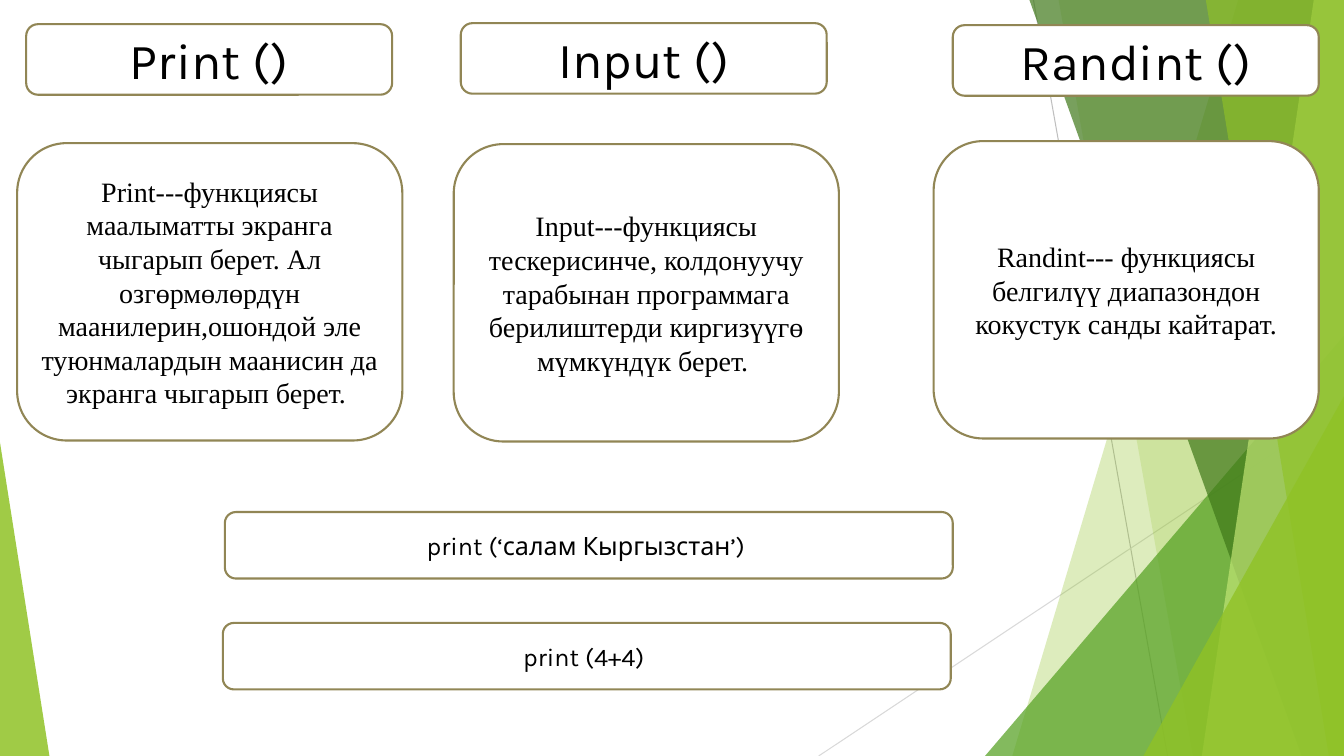
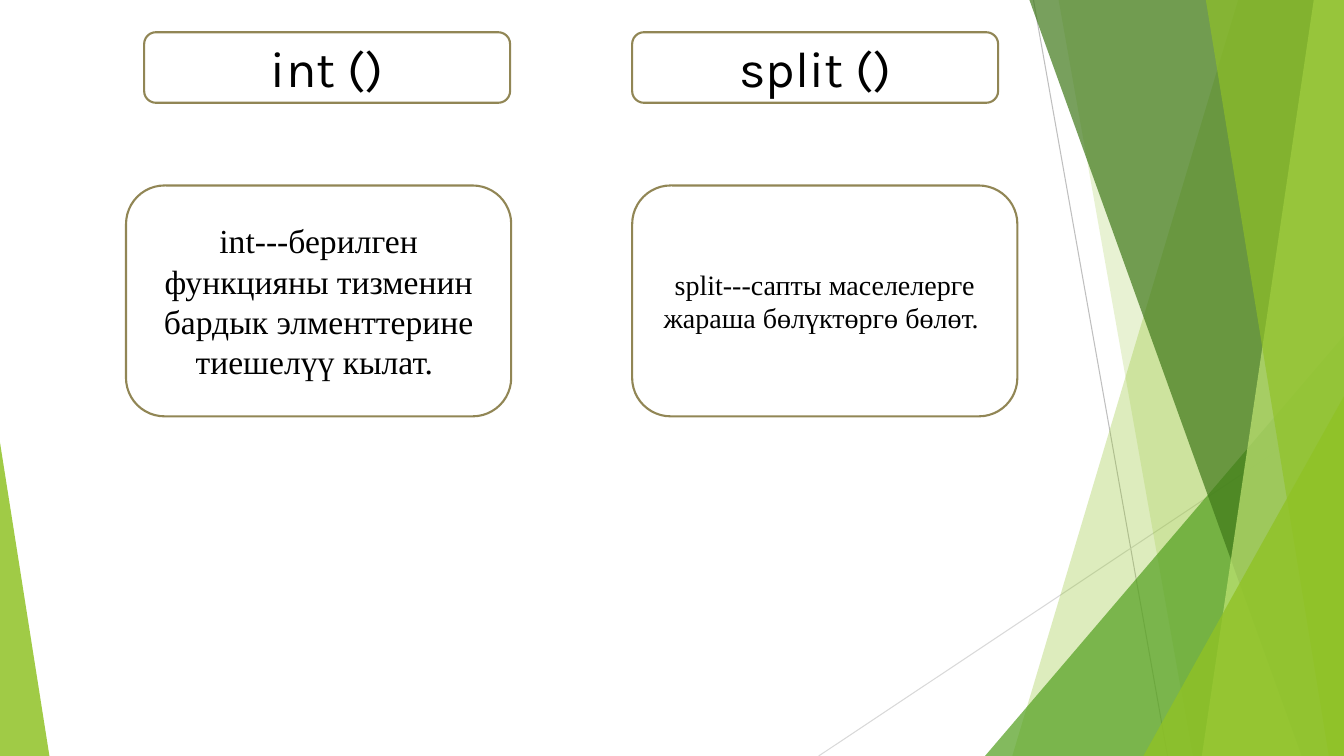
"""Build two slides that describe Python functions in outlined cards."""
from lxml.etree import SubElement
from pptx import Presentation
from pptx.dml.color import RGBColor
from pptx.enum.shapes import MSO_CONNECTOR as Connector, MSO_SHAPE as Shape
from pptx.enum.text import MSO_ANCHOR as Anchor, PP_ALIGN as Align
from pptx.oxml.ns import qn
from pptx.util import Inches, Pt

WIDTH, HEIGHT = 13.33, 7.5
COLORS = {
    "white": "FFFFFF", "black": "000000", "outline": "918655",
    "green": "90C226", "leaf": "54A021", "forest": "3F7819", "lime": "C0E474",
    "gray": "BFBFBF", "pale gray": "D9D9D9",
}
HEADING_SIZE = (3.63, 0.7)
EXAMPLE_SIZE = (7.22, 0.66)
CARD_WIDTH = 3.82


def color(name):
    return RGBColor.from_string(COLORS[name])


def add_thin_line(slide, start, end, color_name):
    line = slide.shapes.add_connector(
        Connector.STRAIGHT, *(Inches(value) for value in (*start, *end)))
    line.line.color.rgb = color(color_name)
    line.line.width = Pt(0.75)
    SubElement(line._element.spPr, qn("a:effectLst"))


def fill_translucent(shape, color_name, opacity):
    shape.shadow.inherit = False
    shape.fill.solid()
    shape.fill.fore_color.rgb = color(color_name)
    shape.line.fill.background()
    fill_color = shape._element.spPr.find(qn("a:solidFill")).find(qn("a:srgbClr"))
    SubElement(fill_color, qn("a:alpha"), val=str(opacity * 1000))


def add_panel(slide, top_x, bottom_x, color_name, opacity):
    builder = slide.shapes.build_freeform(Inches(top_x), 0)
    corners = [(WIDTH, 0), (WIDTH, HEIGHT), (bottom_x, HEIGHT)]
    builder.add_line_segments([(Inches(x), Inches(y)) for x, y in corners])
    fill_translucent(builder.convert_to_shape(), color_name, opacity)


def add_corner_triangle(slide, left, top, width, apex, color_name, opacity):
    triangle = slide.shapes.add_shape(
        Shape.ISOSCELES_TRIANGLE, Inches(left), Inches(top),
        Inches(width), Inches(HEIGHT - top))
    triangle.adjustments[0] = apex
    fill_translucent(triangle, color_name, opacity)


def add_backdrop(slide):
    add_thin_line(slide, (10.25, 0), (11.58, HEIGHT), "gray")
    add_thin_line(slide, (WIDTH, 4.03), (8.12, HEIGHT), "pale gray")
    add_panel(slide, 12.28, 10.04, "green", 30)
    add_panel(slide, 10.5, 11.83, "green", 20)
    add_corner_triangle(slide, 9.77, 3.33, 3.56, 1, "leaf", 72)
    add_panel(slide, 10.21, 12.91, "forest", 70)
    add_panel(slide, 13.03, 11.92, "lime", 70)
    add_panel(slide, 11.96, 13.18, "green", 65)
    add_corner_triangle(slide, 11.34, 3.93, 1.99, 1, "green", 80)
    add_corner_triangle(slide, 0, 4.39, 0.49, 0, "green", 85)


def add_box(slide, position, size, text, font_name, font_size):
    box = slide.shapes.add_shape(
        Shape.ROUNDED_RECTANGLE, *(Inches(value) for value in (*position, *size)))
    box.shadow.inherit = False
    box.fill.solid()
    box.fill.fore_color.rgb = color("white")
    box.line.color.rgb = color("outline")
    box.line.width = Pt(1.5)
    frame = box.text_frame
    frame.word_wrap = True
    frame.vertical_anchor = Anchor.MIDDLE
    frame.text = text
    paragraph = frame.paragraphs[0]
    paragraph.alignment = Align.CENTER
    font = paragraph.runs[0].font
    font.name = font_name
    font.size = Pt(font_size)
    font.color.rgb = color("black")


def add_heading(slide, left, top, text):
    add_box(slide, (left, top), HEADING_SIZE, text, "Karla", 36)


def add_card(slide, left, top, height, text, font_size=20):
    add_box(slide, (left, top), (CARD_WIDTH, height), text,
            "Times New Roman", font_size)


def add_example(slide, left, top, text):
    add_box(slide, (left, top), EXAMPLE_SIZE, text, "Karla", 18)


def add_slide(presentation):
    slide = presentation.slides.add_slide(presentation.slide_layouts[6])
    add_backdrop(slide)
    return slide


def build_basic_functions(presentation):
    slide = add_slide(presentation)
    add_heading(slide, 0.26, 0.24, "Print ()")
    add_heading(slide, 4.57, 0.23, "Input ()")
    add_heading(slide, 9.45, 0.25, "Randint ()")
    height = 2.95
    add_card(slide, 0.17, 1.42, height,
             "Print---функциясы маалыматты экранга чыгарып берет. Ал "
             "озгөрмөлөрдүн маанилерин,ошондой эле туюнмалардын маанисин "
             "да экранга чыгарып берет. ")
    add_card(slide, 4.5, 1.43, height,
             "Input---функциясы тескерисинче, колдонуучу тарабынан "
             "программага берилиштерди киргизүүгө мүмкүндүк берет. ")
    add_card(slide, 9.26, 1.4, height,
             "Randint--- функциясы белгилүү диапазондон кокустук санды "
             "кайтарат.")
    add_example(slide, 2.23, 5.08, "print (‘салам Кыргызстан’) ")
    add_example(slide, 2.21, 6.18, "print (4+4) ")


def build_list_functions(presentation):
    slide = add_slide(presentation)
    add_heading(slide, 1.43, 0.32, "int ()")
    add_heading(slide, 6.27, 0.32, "split ()")
    top, height = 1.84, 2.29
    add_card(slide, 1.25, top, height,
             "int---берилген функцияны тизменин бардык элменттерине "
             "тиешелүү кылат. ", 24)
    add_card(slide, 6.27, top, height,
             "split---сапты маселелерге жараша бөлүктөргө бөлөт. ")


def main():
    presentation = Presentation()
    presentation.slide_width = Inches(WIDTH)
    presentation.slide_height = Inches(HEIGHT)
    build_basic_functions(presentation)
    build_list_functions(presentation)
    presentation.save("out.pptx")


if __name__ == "__main__":
    main()
